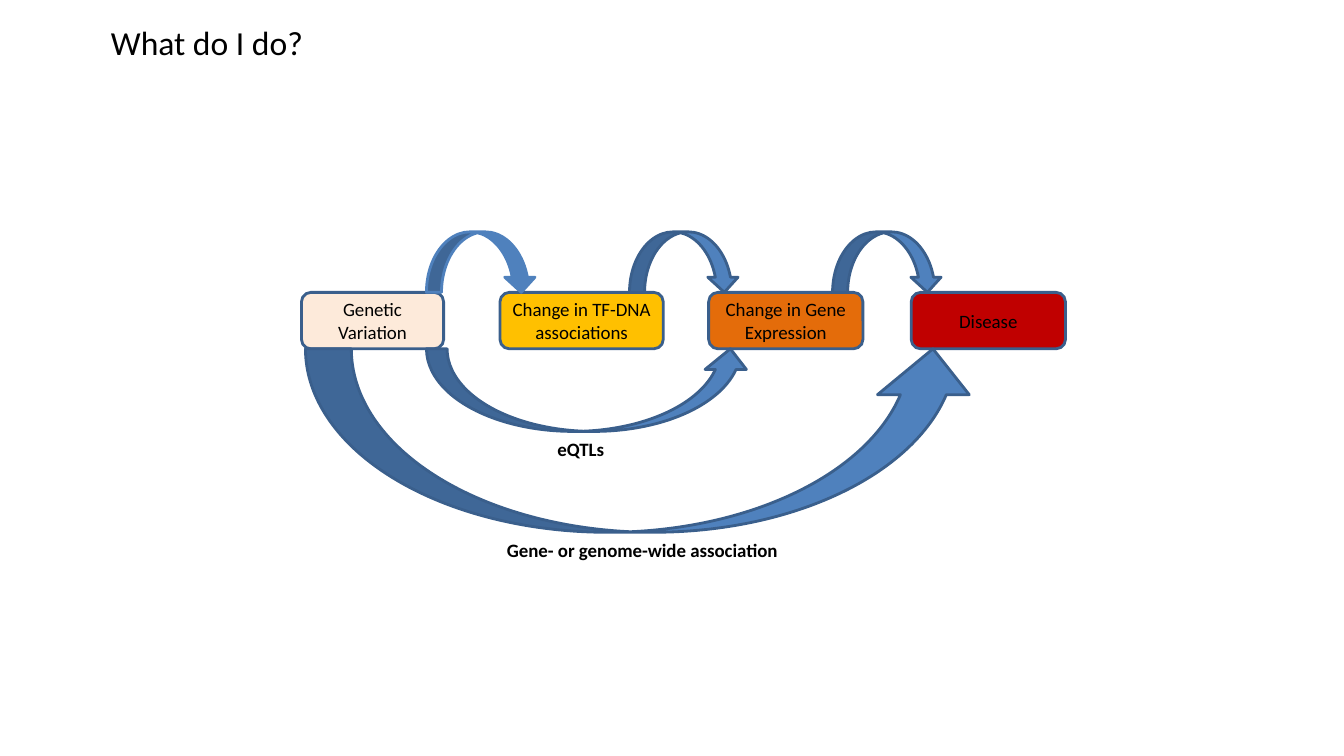
from dataclasses import dataclass

from pptx import Presentation
from pptx.dml.color import RGBColor
from pptx.enum.shapes import MSO_SHAPE
from pptx.enum.text import MSO_ANCHOR, MSO_AUTO_SIZE, PP_ALIGN
from pptx.shapes.autoshape import Shape
from pptx.slide import Slide
from pptx.util import Inches, Pt

ROUNDED = MSO_SHAPE.ROUNDED_RECTANGLE
HOP_ARROW = MSO_SHAPE.CURVED_DOWN_ARROW
SWEEP_ARROW = MSO_SHAPE.CURVED_UP_ARROW
MIDDLE = MSO_ANCHOR.MIDDLE
LEFT, CENTER = PP_ALIGN.LEFT, PP_ALIGN.CENTER
NO_AUTOFIT, GROW = MSO_AUTO_SIZE.NONE, MSO_AUTO_SIZE.SHAPE_TO_FIT_TEXT

SLIDE_WIDTH, SLIDE_HEIGHT = Inches(13.333), Inches(7.5)
FONT, TEXT_SIZE, TITLE_SIZE = "Calibri", 13.5, 24
BLACK, BLUE, OUTLINE = "000000", "4F81BD", "3A5F8C"

STAGE_TOP, STAGE_HEIGHT = 38.67, 7.47
STAGE_BOTTOM = STAGE_TOP + STAGE_HEIGHT
HOP_LEFT, HOP_STEP, HOP_WIDTH, HOP_HEIGHT = 31.73, 15.11, 8.18, 8
LABEL_HEIGHT = 4.4


@dataclass(frozen=True)
class Area:
    left: float
    top: float
    width: float
    height: float

    def emu(self) -> tuple[int, int, int, int]:
        return (
            int(SLIDE_WIDTH * self.left / 100),
            int(SLIDE_HEIGHT * self.top / 100),
            int(SLIDE_WIDTH * self.width / 100),
            int(SLIDE_HEIGHT * self.height / 100),
        )


@dataclass(frozen=True)
class Stage:
    name: str
    left: float
    width: float
    fill: str


@dataclass(frozen=True)
class Association:
    name: str
    sweep: Area
    label: Area


STAGES = [
    Stage("Genetic Variation", 22.43, 10.58, "FDEADA"),
    Stage("Change in TF-DNA associations", 37.2, 12.15, "FFC000"),
    Stage("Change in Gene Expression", 52.73, 11.48, "E46C0A"),
    Stage("Disease", 67.8, 11.48, "C00000"),
]
HOP_OUTLINES = [BLUE, OUTLINE, OUTLINE]
ASSOCIATIONS = [
    Association(
        "eQTLs",
        Area(HOP_LEFT, STAGE_BOTTOM, 24.15, 10.93),
        Area(40.73, 57.2, 5.03, LABEL_HEIGHT),
    ),
    Association(
        "Gene- or genome-wide association",
        Area(22.73, STAGE_BOTTOM, 50.1, 24.27),
        Area(36.98, 70.53, 21.9, LABEL_HEIGHT),
    ),
]


def color(value: str) -> RGBColor:
    return RGBColor.from_string(value)


def write(holder: Shape, text: str, size: float, align: PP_ALIGN, bold: bool = False) -> None:
    holder.text_frame.text = text
    paragraph = holder.text_frame.paragraphs[0]
    paragraph.alignment = align
    paragraph.font.name = FONT
    paragraph.font.size = Pt(size)
    paragraph.font.bold = bold
    paragraph.font.color.rgb = color(BLACK)


def draw(slide: Slide, preset: MSO_SHAPE, area: Area, fill: str, outline: str = OUTLINE) -> Shape:
    figure = slide.shapes.add_shape(preset, *area.emu())
    figure.shadow.inherit = False
    figure.fill.solid()
    figure.fill.fore_color.rgb = color(fill)
    figure.line.color.rgb = color(outline)
    figure.line.width = Pt(2)
    return figure


def draw_title(slide: Slide, text: str, area: Area) -> None:
    title = slide.shapes.title
    title.left, title.top, title.width, title.height = area.emu()
    write(title, text, TITLE_SIZE, LEFT)
    title.text_frame.vertical_anchor = MIDDLE
    title.text_frame.auto_size = NO_AUTOFIT


def draw_stage(slide: Slide, stage: Stage) -> None:
    area = Area(stage.left, STAGE_TOP, stage.width, STAGE_HEIGHT)
    box = draw(slide, ROUNDED, area, stage.fill)
    write(box, stage.name, TEXT_SIZE, CENTER)
    frame = box.text_frame
    frame.word_wrap = True
    frame.vertical_anchor = MIDDLE
    frame.margin_left = frame.margin_right = Inches(0.05)


def draw_label(slide: Slide, association: Association) -> None:
    label = slide.shapes.add_textbox(*association.label.emu())
    label.text_frame.word_wrap = False
    label.text_frame.auto_size = GROW
    write(label, association.name, TEXT_SIZE, LEFT, bold=True)


def main() -> None:
    deck = Presentation()
    deck.slide_width, deck.slide_height = SLIDE_WIDTH, SLIDE_HEIGHT
    slide = deck.slides.add_slide(deck.slide_layouts.get_by_name("Title Only"))

    draw_title(slide, "What do I do?", Area(7.5, 2.4, 75.53, 6.27))
    for stage in STAGES:
        draw_stage(slide, stage)
    for index, outline in enumerate(HOP_OUTLINES):
        left = HOP_LEFT + index * HOP_STEP
        hop = Area(left, STAGE_TOP - HOP_HEIGHT, HOP_WIDTH, HOP_HEIGHT)
        draw(slide, HOP_ARROW, hop, BLUE, outline)
    for association in ASSOCIATIONS:
        draw(slide, SWEEP_ARROW, association.sweep, BLUE)
        draw_label(slide, association)

    deck.save("out.pptx")


if __name__ == "__main__":
    main()
